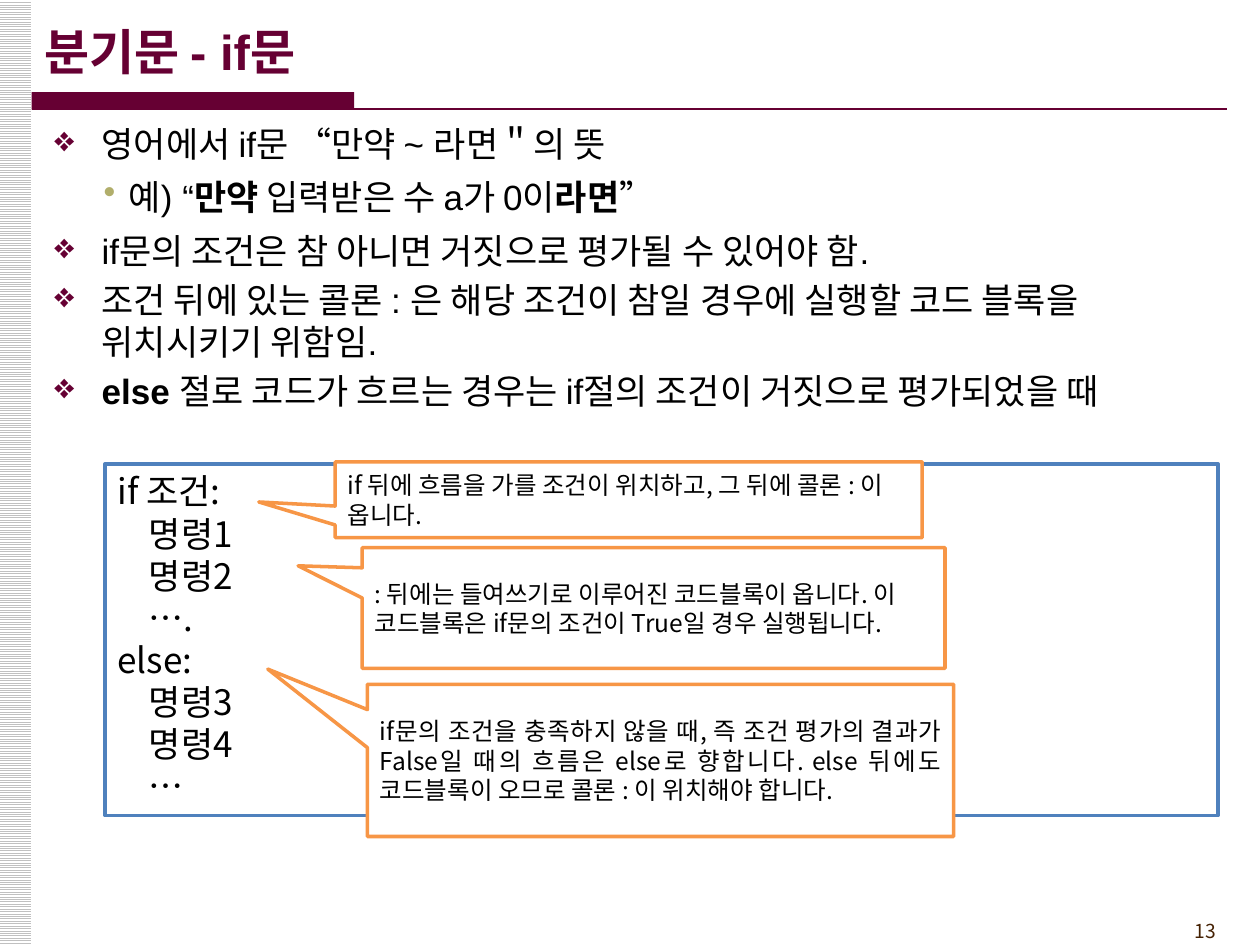
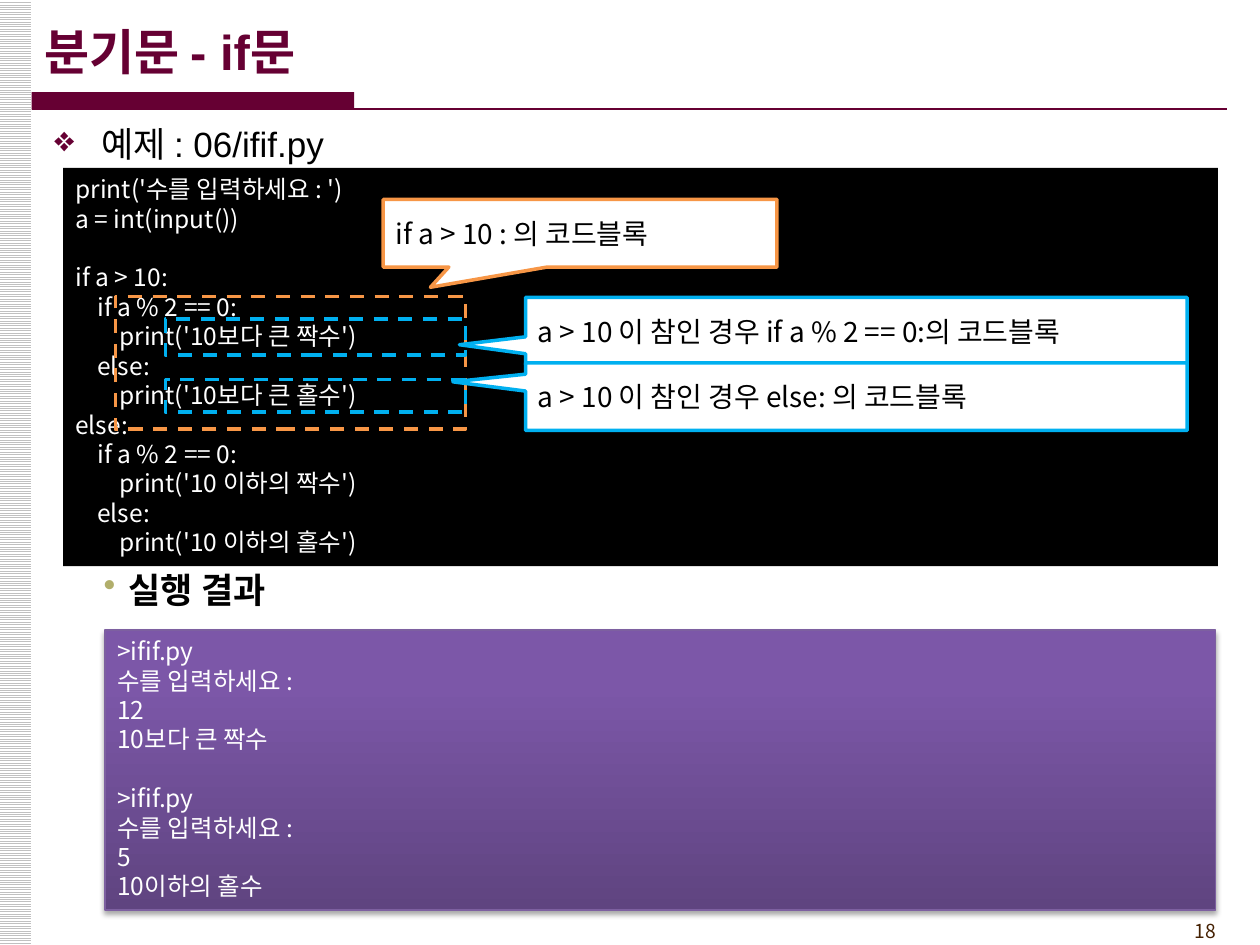
"""Build two lecture slides about the Python if statement."""
import lxml.etree
import pptx
import pptx.dml.color
import pptx.enum.dml
import pptx.enum.shapes
import pptx.enum.text
import pptx.oxml.ns
import pptx.util

Pt = pptx.util.Pt
qn = pptx.oxml.ns.qn
ALIGN = pptx.enum.text.PP_ALIGN
ANCHOR = pptx.enum.text.MSO_ANCHOR
SHAPE = pptx.enum.shapes.MSO_SHAPE

COLORS = {
    "wine": "660033", "olive": "B1AE6B", "black": "000000", "white": "FFFFFF",
    "silver": "C0C0C0", "brown": "452103", "blue": "4F81BD", "orange": "F79646",
    "sky": "00B0F0", "plum": "7D60A0", "plum_dark": "5F4480", "plum_light": "7C57A8",
}
BULLETS = [("❖", "wine", 27, 27), ("•", "olive", 42.5, 14.4)]
BODY_FONT = "Arial"
CODE_FONT = "Noto Sans CJK KR"

SYNTAX = """if 조건:
    명령1
    명령2
    ….
else:
    명령3
    명령4
    …"""
PROGRAM = """print('수를 입력하세요 : ')
a = int(input())

if a > 10:
    if a % 2 == 0:
        print('10보다 큰 짝수')
    else:
        print('10보다 큰 홀수')
else:
    if a % 2 == 0:
        print('10 이하의 짝수')
    else:
        print('10 이하의 홀수')"""
RESULT = """>ifif.py
수를 입력하세요 :
12
10보다 큰 짝수

>ifif.py
수를 입력하세요 :
5
10이하의 홀수"""


def rgb(name):
    return pptx.dml.color.RGBColor.from_string(COLORS[name])


class Lecture:
    """Holds the deck style and the page being drawn."""

    def __init__(self):
        self.deck = pptx.Presentation()
        self.deck.slide_width, self.deck.slide_height = Pt(720), Pt(540)
        self.page = None

    def format_span(self, span, size, color, font=CODE_FONT, bold=False):
        span.font.size, span.font.bold, span.font.name = Pt(size), bold, font
        span.font.color.rgb = rgb(color)
        east_asian = lxml.etree.SubElement(span._r.get_or_add_rPr(), qn("a:ea"))
        east_asian.set("typeface", CODE_FONT)

    def fill_text(self, box, text, size, color, align=ALIGN.LEFT, anchor=ANCHOR.TOP, **style):
        frame = box.text_frame
        frame.text = text
        frame.word_wrap, frame.vertical_anchor = True, anchor
        for para in frame.paragraphs:
            para.alignment = align
            for span in para.runs:
                self.format_span(span, size, color, **style)
            if not para.runs:
                end = lxml.etree.SubElement(para._p, qn("a:endParaRPr"))
                end.set("sz", str(size * 100))

    def start_page(self, title, number):
        self.page = self.deck.slides.add_slide(self.deck.slide_layouts[5])
        stripes = self.rectangle(0, 0, 18, 540, fill="white")
        stripes.fill.patterned()
        stripes.fill.pattern = pptx.enum.dml.MSO_PATTERN.LIGHT_HORIZONTAL
        stripes.fill.fore_color.rgb = rgb("silver")
        stripes.fill.back_color.rgb = rgb("white")
        self.rectangle(18, 52.6, 184.4, 10, fill="wine")
        self.rule(18, 701, 62.4)
        heading = self.page.shapes.title
        heading.left, heading.top, heading.width, heading.height = map(Pt, (18, 6.5, 672.5, 45))
        heading.text_frame.auto_size = pptx.enum.text.MSO_AUTO_SIZE.NONE
        self.fill_text(heading, title, 28, "wine", anchor=ANCHOR.MIDDLE,
                       font=BODY_FONT, bold=True)
        footer = self.page.shapes.add_textbox(*map(Pt, (642, 522, 60, 18)))
        self.fill_text(footer, str(number), 11, "brown", ALIGN.RIGHT)

    def rule(self, left, right, y):
        line = self.page.shapes.add_connector(
            pptx.enum.shapes.MSO_CONNECTOR.STRAIGHT, Pt(left), Pt(y), Pt(right), Pt(y))
        line.line.color.rgb, line.line.width = rgb("wine"), Pt(1.5)
        lxml.etree.SubElement(line._element.spPr, qn("a:effectLst"))

    def rectangle(self, left, top, width, height, fill=None, line=None,
                  weight=2, dashed=False, kind=SHAPE.RECTANGLE):
        box = self.page.shapes.add_shape(kind, *map(Pt, (left, top, width, height)))
        box.shadow.inherit = False
        if fill:
            box.fill.solid()
            box.fill.fore_color.rgb = rgb(fill)
        else:
            box.fill.background()
        if line:
            box.line.color.rgb, box.line.width = rgb(line), Pt(weight)
        else:
            box.line.fill.background()
        if dashed:
            box.line.dash_style = pptx.enum.dml.MSO_LINE.DASH
        return box

    def code(self, text, size, color, *place, **style):
        box = self.rectangle(*place, **style)
        self.fill_text(box, text, size, color, ALIGN.JUSTIFY)
        return box

    def console(self, text, *place):
        box = self.code(text, 14, "white", *place, line="plum", weight=0.75)
        box.fill.gradient()
        box.fill.gradient_angle = 90
        for stop, color, position in zip(
                box.fill.gradient_stops, ("plum_dark", "plum_light"), (0, 0.8)):
            stop.color.rgb, stop.position = rgb(color), position
        effects = box._element.spPr.find(qn("a:effectLst"))
        shadow = lxml.etree.SubElement(
            effects, qn("a:outerShdw"), blurRad=str(Pt(3.1)), dist=str(Pt(1.8)),
            dir="5400000", rotWithShape="0")
        shade = lxml.etree.SubElement(shadow, qn("a:srgbClr"), val=COLORS["black"])
        lxml.etree.SubElement(shade, qn("a:alpha"), val="35000")

    def callout(self, text, place, tip, color="orange", size=14, align=ALIGN.LEFT):
        box = self.rectangle(*place, fill="white", line=color,
                             kind=SHAPE.RECTANGULAR_CALLOUT)
        box.adjustments[0], box.adjustments[1] = tip
        self.fill_text(box, text, size, "black", align, ANCHOR.MIDDLE)

    def bullets(self, top, height, items):
        box = self.page.shapes.add_textbox(*map(Pt, (24, top, 684, height)))
        frame = box.text_frame
        frame.word_wrap = True
        for index, (level, text) in enumerate(items):
            para = frame.add_paragraph() if index else frame.paragraphs[0]
            para.space_before = Pt(4 if index else 0)
            if level:
                para.level, para.line_spacing, para.space_after = level, 1.1, Pt(3)
            mark, color, margin, hanging = BULLETS[level]
            settings = para._p.get_or_add_pPr()
            settings.set("marL", str(Pt(margin)))
            settings.set("indent", str(-Pt(hanging)))
            tint = lxml.etree.SubElement(settings, qn("a:buClr"))
            lxml.etree.SubElement(tint, qn("a:srgbClr"), val=COLORS[color])
            lxml.etree.SubElement(settings, qn("a:buChar"), char=mark)
            for part, words in enumerate(text.split("*")):
                if words:
                    span = para.add_run()
                    span.text = words
                    self.format_span(span, 20, "black", BODY_FONT, bold=part % 2 == 1)


def draw_syntax(lecture):
    lecture.start_page("분기문 - if문", 13)
    lecture.bullets(66.2, 190, [
        (0, "영어에서 if문 “만약 ~ 라면＂의 뜻"),
        (1, "예) “*만약 *입력받은 수 a가 0이*라면*”"),
        (0, "if문의 조건은 참 아니면 거짓으로 평가될 수 있어야 함."),
        (0, "조건 뒤에 있는 콜론 : 은 해당 조건이 참일 경우에 실행할 코드 블록을 위치시키기 위함임."),
        (0, "*else *절로 코드가 흐르는 경우는 if절의 조건이 거짓으로 평가되었을 때"),
    ])
    lecture.code(SYNTAX, 20, "black", 60, 265, 636, 201, fill="white", line="blue")
    lecture.callout("if 뒤에 흐름을 가를 조건이 위치하고, 그 뒤에 콜론 : 이 옵니다.",
                    (191.5, 264, 335.5, 43.2), (-0.63, 0.03))
    lecture.callout(": 뒤에는 들여쓰기로 이루어진 코드블록이 옵니다. 이 코드블록은 "
                    "if문의 조건이 True일 경우 실행됩니다.",
                    (207, 313, 333, 69), (-0.61, -0.35))
    lecture.callout("if문의 조건을 충족하지 않을 때, 즉 조건 평가의 결과가 False일 때의 흐름은 "
                    "else로 향합니다. else 뒤에도 코드블록이 오므로 콜론 : 이 위치해야 합니다.",
                    (210, 391, 335, 87), (-0.67, -0.6), align=ALIGN.JUSTIFY)


def draw_example(lecture):
    lecture.start_page("분기문 - if문", 18)
    lecture.bullets(66.2, 30, [(0, "예제 : 06/ifif.py")])
    lecture.bullets(319, 36, [(1, "*실행 결과*")])
    lecture.code(PROGRAM, 14, "white", 36, 96, 660, 227.5, fill="black")
    lecture.console(RESULT, 60, 360, 634.5, 160)
    lecture.rectangle(66, 169.3, 200, 76, line="orange", dashed=True)
    for top, height in ((182.3, 20.7), (217, 18.5)):
        lecture.rectangle(94.5, top, 171.5, height, line="sky", dashed=True)
    lecture.callout("if a > 10 : 의 코드블록", (219, 114, 225, 38.6), (-0.38, 0.8), size=16)
    for text, top, tip in (
            ("a > 10 이 참인 경우 if a % 2 == 0:의 코드블록", 170, (-0.6, 0.2)),
            ("a > 10 이 참인 경우 else: 의 코드블록", 207.4, (-0.61, -0.22))):
        lecture.callout(text, (300.3, top, 378, 38.6), tip, "sky", 16)


def main():
    lecture = Lecture()
    draw_syntax(lecture)
    draw_example(lecture)
    lecture.deck.save("out.pptx")


if __name__ == "__main__":
    main()
